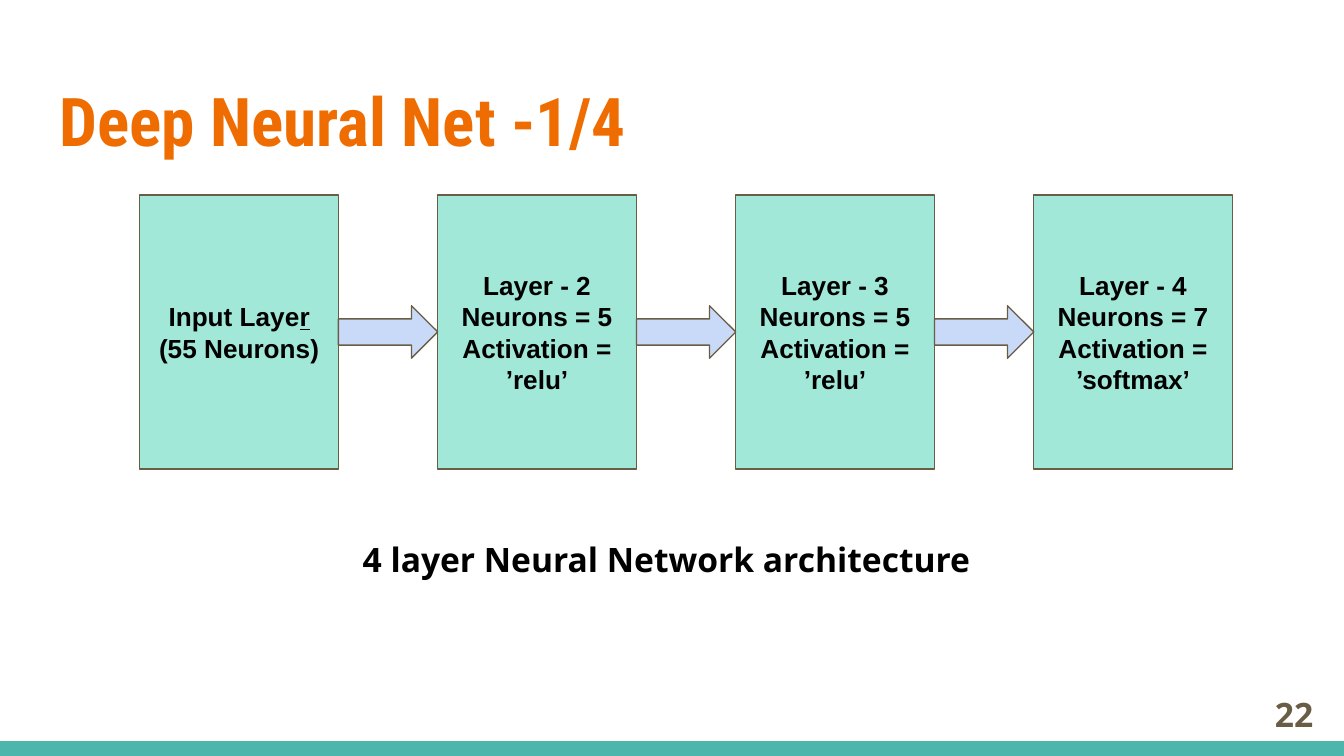
from dataclasses import dataclass
from typing import Any

from pptx import Presentation
from pptx.dml.color import RGBColor
from pptx.enum.shapes import MSO_SHAPE
from pptx.enum.text import MSO_ANCHOR, MSO_AUTO_SIZE, PP_ALIGN
from pptx.util import Inches, Pt

COLORS = {
    "bar": "4DB6AC",
    "title": "EF6C00",
    "layer": "A1E8D9",
    "arrow": "C9DAF8",
    "outline": "695D46",
    "text": "000000",
}

PAGE_WIDTH = 10
PAGE_HEIGHT = PAGE_WIDTH * 9 / 16
BAR_HEIGHT = 0.11
GRID_LEFT, GRID_WIDTH, GRID_COLUMNS = 1.04, 8.13, 11
GRID_UNIT = GRID_WIDTH / GRID_COLUMNS
LAYER_SPAN, ARROW_SPAN = 2, 1
LAYER_TOP, LAYER_HEIGHT, ARROW_HEIGHT = 1.45, 2.04, 0.39


@dataclass
class Box:
    left: float
    top: float
    width: float
    height: float

    def lengths(self) -> list[int]:
        return [Inches(n) for n in (self.left, self.top, self.width, self.height)]


@dataclass
class TextStyle:
    font: str
    size: int
    color: str
    align: PP_ALIGN = PP_ALIGN.LEFT
    anchor: MSO_ANCHOR = MSO_ANCHOR.TOP


@dataclass
class Span:
    text: str
    underline: bool = False


def apply(target: Any, values: dict[str, Any]) -> None:
    for name, value in values.items():
        setattr(target, name, value)


def rgb(name: str) -> RGBColor:
    return RGBColor.from_string(COLORS[name])


def write(shape: Any, lines: list[list[Span]], style: TextStyle) -> None:
    frame = shape.text_frame
    margins = dict.fromkeys(
        ("margin_left", "margin_top", "margin_right", "margin_bottom"), Inches(0.1))
    apply(frame, {"word_wrap": True, "auto_size": MSO_AUTO_SIZE.NONE,
                  "vertical_anchor": style.anchor, **margins})
    for index, line in enumerate(lines):
        para = frame.add_paragraph() if index else frame.paragraphs[0]
        para.alignment = style.align
        for span in line:
            run = para.add_run()
            run.text = span.text
            apply(run.font, {"name": style.font, "size": Pt(style.size),
                             "bold": True, "underline": span.underline})
            run.font.color.rgb = rgb(style.color)


def add_block(page: Any, kind: MSO_SHAPE, box: Box, fill: str, outlined: bool = True) -> Any:
    shape = page.shapes.add_shape(kind, *box.lengths())
    shape.shadow.inherit = False
    shape.fill.solid()
    shape.fill.fore_color.rgb = rgb(fill)
    if outlined:
        shape.line.color.rgb = rgb("outline")
        shape.line.width = Pt(0.75)
    else:
        shape.line.fill.background()
    return shape


def grid_box(column: int, span: int, height: float) -> Box:
    middle = LAYER_TOP + LAYER_HEIGHT / 2
    return Box(GRID_LEFT + column * GRID_UNIT, middle - height / 2, span * GRID_UNIT, height)


def add_label(page: Any, box: Box, text: str, style: TextStyle) -> None:
    write(page.shapes.add_textbox(*box.lengths()), [[Span(text)]], style)


def dense_layer(number: int, neurons: int, activation: str) -> list[list[Span]]:
    return [[Span(f"Layer - {number}")], [Span(f"Neurons = {neurons}")],
            [Span(f"Activation = ’{activation}’")]]


LAYERS = [
    [[Span("Input Laye"), Span("r", underline=True)], [Span("(55 Neurons)")]],
    dense_layer(2, 5, "relu"),
    dense_layer(3, 5, "relu"),
    dense_layer(4, 7, "softmax"),
]


def main() -> None:
    deck = Presentation()
    apply(deck, {"slide_width": Inches(PAGE_WIDTH), "slide_height": Inches(PAGE_HEIGHT)})
    page = deck.slides.add_slide(deck.slide_layouts[5])

    bar = Box(0, PAGE_HEIGHT - BAR_HEIGHT, PAGE_WIDTH, BAR_HEIGHT)
    add_block(page, MSO_SHAPE.RECTANGLE, bar, "bar", outlined=False)

    title = page.shapes.title
    apply(title, dict(zip(("left", "top", "width", "height"),
                          Box(0.34, 0.49, 9.32, 0.62).lengths())))
    write(title, [[Span("Deep Neural Net -1/4")]], TextStyle("Roboto Condensed", 36, "title"))

    layer_style = TextStyle("Arial", 14, "text", PP_ALIGN.CENTER, MSO_ANCHOR.MIDDLE)
    step = LAYER_SPAN + ARROW_SPAN
    for index, lines in enumerate(LAYERS):
        box = grid_box(index * step, LAYER_SPAN, LAYER_HEIGHT)
        write(add_block(page, MSO_SHAPE.RECTANGLE, box, "layer"), lines, layer_style)
    for index in range(len(LAYERS) - 1):
        box = grid_box(index * step + LAYER_SPAN, ARROW_SPAN, ARROW_HEIGHT)
        add_block(page, MSO_SHAPE.RIGHT_ARROW, box, "arrow")

    add_label(page, Box(2.6, 3.91, 5.01, 0.68), "4 layer Neural Network architecture",
              TextStyle("Open Sans", 18, "text"))
    add_label(page, Box(9.27, 5.1, 0.6, 0.43), "22",
              TextStyle("Open Sans", 18, "outline", PP_ALIGN.RIGHT, MSO_ANCHOR.MIDDLE))
    deck.save("out.pptx")


if __name__ == "__main__":
    main()
